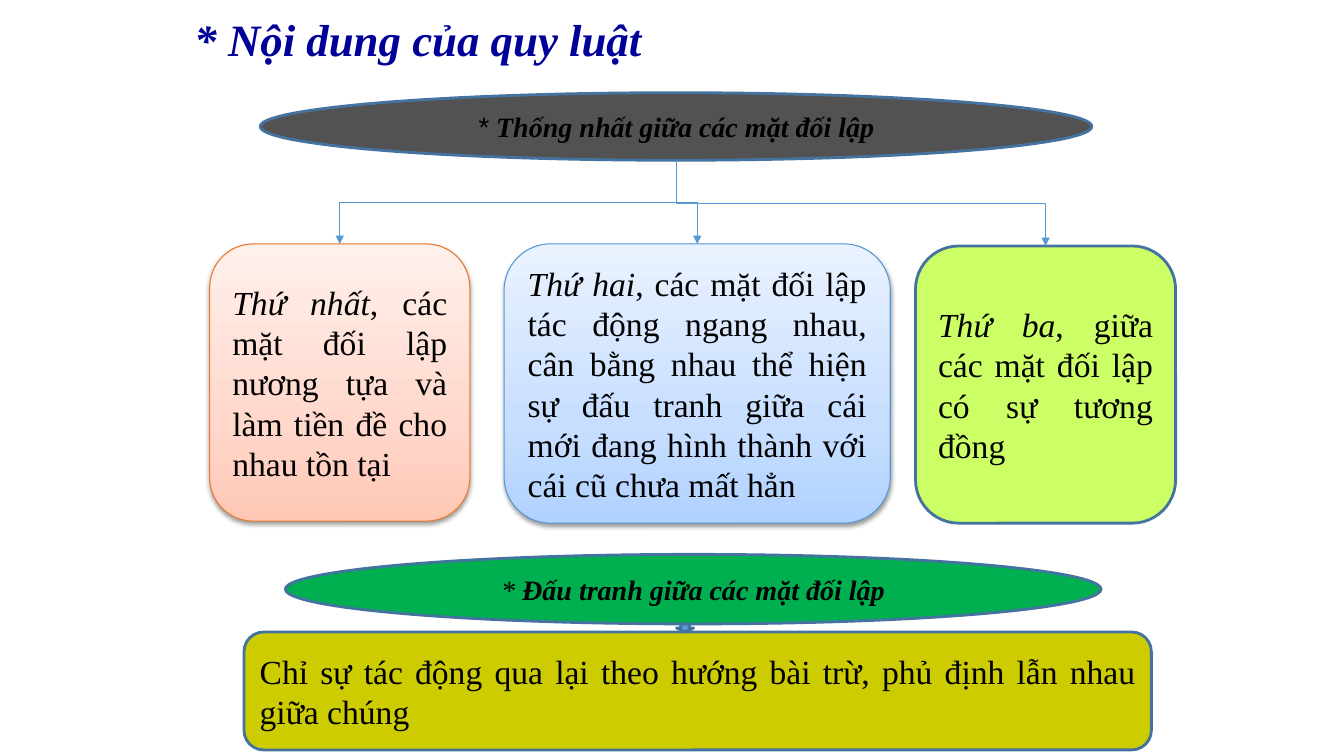
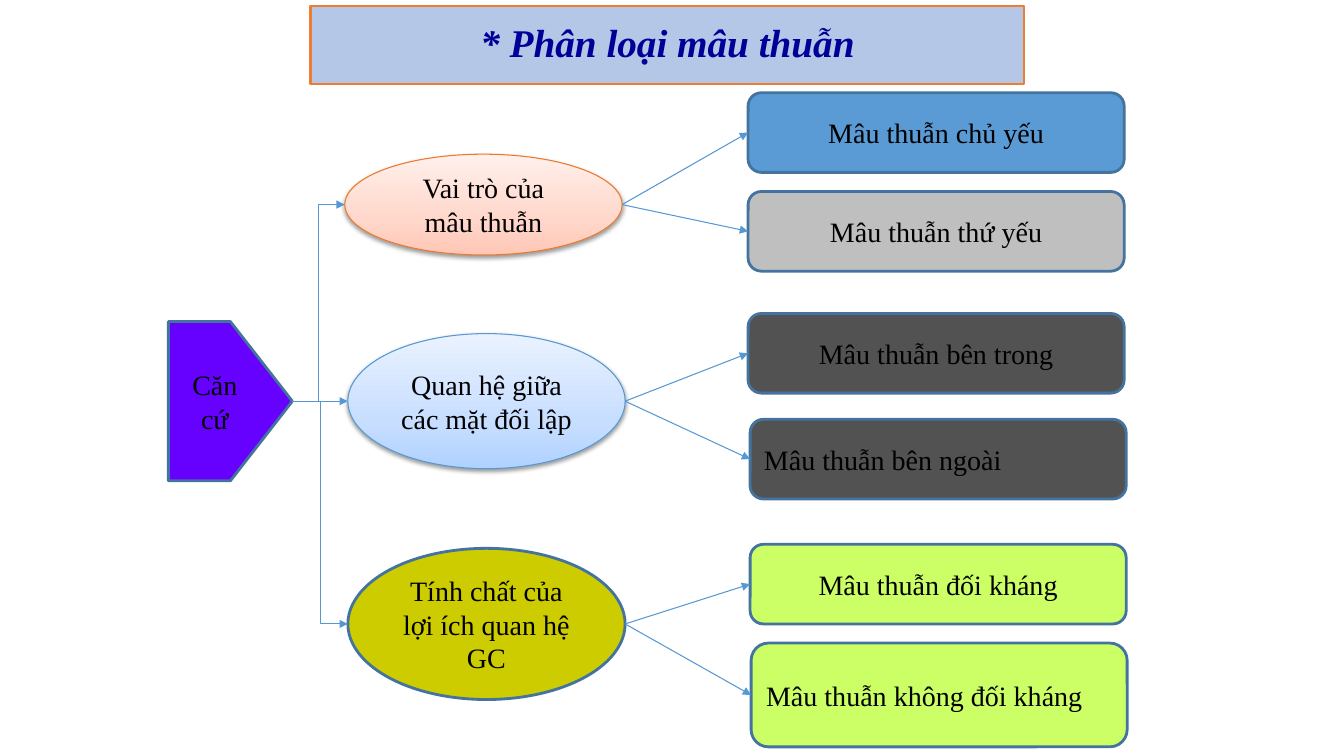
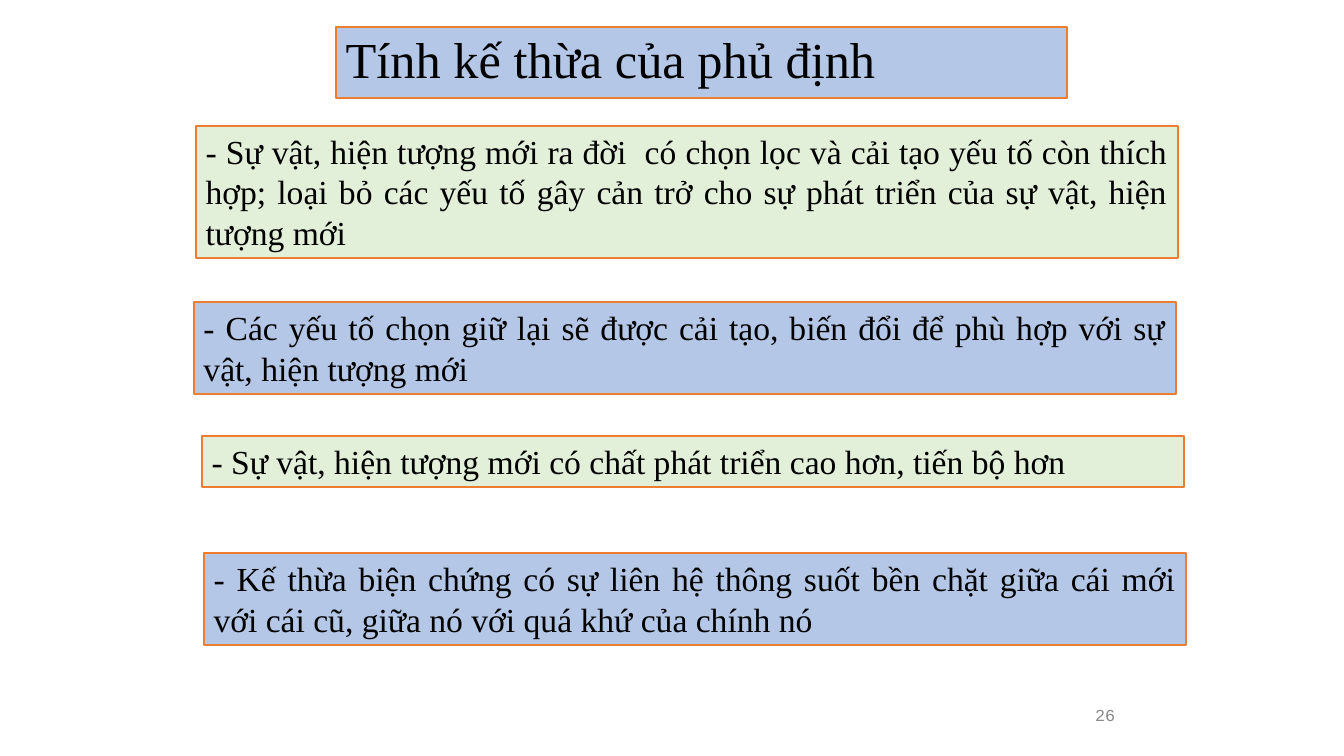
from lxml import etree
from pptx import Presentation
from pptx import util as u
from pptx.dml import color
from pptx.enum import shapes, text
from pptx.oxml import ns

# Shared look
SERIF = "Times New Roman"
BLACK, NAVY, GREY = "000000", "000099", "898989"
DARK, OLIVE, LIME, SILVER, BLUE = "525252", "CCCC00", "CCFF66", "BFBFBF", "5B9BD5"
GREEN, VIOLET = "00B050", "6600FF"
PALE_BLUE, PALE_GREEN = "B4C7E7", "E2F0D9"
OUTLINE, ORANGE, WIRE = ("43739E", 2), ("ED7D31", 1.5), ("5698D3", 0.75)
# Soft looks: gradient stops from bottom to top, then the outline
PEACH = (((0, "FFC7B6"), (35, "FFD7CB"), (100, "FFF0EB")), ("EC792B", 0.75))
SKY = (((0, "B0D2FF"), (35, "C7DEFF"), (100, "EAF2FF")), WIRE)

KIND = shapes.MSO_SHAPE
ALIGN = {"l": text.PP_ALIGN.LEFT, "c": text.PP_ALIGN.CENTER,
         "r": text.PP_ALIGN.RIGHT, "j": text.PP_ALIGN.JUSTIFY}


def rgb(value):
    return color.RGBColor.from_string(value)


def xml(parent, tag, **attrs):
    return etree.SubElement(parent, ns.qn(tag), attrs)


def set_line(s, line):
    s.line.color.rgb = rgb(line[0])
    s.line.width = u.Pt(line[1])


def write(sp, content, size, align="c", fill=BLACK, middle=True, spacing=None):
    """content is a string or a list of (text, flags, font); flags use b and i."""
    tf = sp.text_frame
    tf.word_wrap = True
    tf.vertical_anchor = text.MSO_ANCHOR.MIDDLE if middle else text.MSO_ANCHOR.TOP
    p = tf.paragraphs[0]
    p.alignment = ALIGN[align]
    if spacing:
        p.line_spacing = spacing
    parts = [(content, "", SERIF)] if isinstance(content, str) else content
    for words, flags, font in parts:
        r = p.add_run()
        r.text = words
        r.font.name, r.font.size = font, u.Pt(size)
        r.font.bold, r.font.italic = "b" in flags, "i" in flags
        r.font.color.rgb = rgb(fill)


def add_box(s, kind, at, fill, line=OUTLINE):
    sp = s.shapes.add_shape(kind, *map(u.Inches, at))
    sp.shadow.inherit = False
    if isinstance(fill, str):
        sp.fill.solid()
        sp.fill.fore_color.rgb = rgb(fill)
        set_line(sp, line)
    else:
        soften(sp, *fill)
    return sp


def soften(sp, stops, line):
    """Vertical gradient with a small shadow below."""
    sp.fill.gradient()
    sp.fill.gradient_angle = 90
    set_line(sp, line)
    props = sp._element.spPr
    stop_list = props.find(".//" + ns.qn("a:gsLst"))
    for old in list(stop_list):
        stop_list.remove(old)
    for pos, value in stops:
        xml(xml(stop_list, "a:gs", pos=str(pos * 1000)), "a:srgbClr", val=value)
    shadow = xml(props.find(ns.qn("a:effectLst")), "a:outerShdw", blurRad="40000",
                 dist="20000", dir="5400000", rotWithShape="0")
    xml(xml(shadow, "a:srgbClr", val=BLACK), "a:alpha", val="38000")


def add_text(s, at, content, size, **style):
    sp = s.shapes.add_textbox(*map(u.Inches, at))
    write(sp, content, size, **style)


def add_title(s, at, content, size, **style):
    sp = add_box(s, KIND.RECTANGLE, at, PALE_BLUE, ORANGE)
    write(sp, content, size, spacing=0.9, **style)


def add_arrow(s, kind, begin, end):
    cn = s.shapes.add_connector(kind, *map(int, begin + end))
    set_line(cn, WIRE)
    props = cn._element.spPr
    xml(props.find(ns.qn("a:ln")), "a:tailEnd", type="triangle")
    xml(props, "a:effectLst")
    return cn


def link_across(s, a, b, kind=shapes.MSO_CONNECTOR.STRAIGHT):
    """Arrow from the right side of a to the left side of b."""
    add_arrow(s, kind, (a.left + a.width, a.top + a.height / 2),
              (b.left, b.top + b.height / 2))


def link_down(s, a, b):
    """Elbow arrow from the bottom of a to the top of b, leaving downwards."""
    x1, y1 = a.left + a.width / 2, a.top + a.height
    x2, y2 = b.left + b.width / 2, b.top
    mid_x, mid_y = (x1 + x2) / 2, (y1 + y2) / 2
    # The elbow is laid on its side, then turned a quarter about its centre
    half_w, half_h = (y2 - y1) / 2, abs(x2 - x1) / 2
    side = 1 if x2 < x1 else -1
    cn = add_arrow(s, shapes.MSO_CONNECTOR.ELBOW,
                   (mid_x - side * half_w, mid_y - half_h),
                   (mid_x + side * half_w, mid_y + half_h))
    turn = 90 if side > 0 else 270
    cn._element.spPr.find(ns.qn("a:xfrm")).set("rot", str(turn * 60000))


def law_slide(s):
    add_text(s, (1.83, -0.08, 5.19, 1), [("* Nội dung của quy luật", "bi", SERIF)],
             32, align="l", fill=NAVY, spacing=0.9)
    # Unity of opposites and its three sides
    unity = add_box(s, KIND.OVAL, (2.58, 0.92, 8.25, 0.67), DARK)
    write(unity, [("* ", "i", "Arial"),
                  ("Thống nhất giữa các mặt đối lập", "bi", SERIF)], 20)
    sides = [
        ((2.08, 2.42, 2.58, 2.75), PEACH, "Thứ nhất",
         ", các mặt đối lập nương tựa và làm tiền đề cho nhau tồn tại"),
        ((5, 2.42, 3.83, 2.77), SKY, "Thứ hai",
         ", các mặt đối lập tác động ngang nhau, cân bằng nhau thể hiện "
         "sự đấu tranh giữa cái mới đang hình thành với cái cũ chưa mất hẳn"),
        ((9.08, 2.44, 2.58, 2.75), LIME, "Thứ ba",
         ", giữa các mặt đối lập có sự tương đồng"),
    ]
    for at, fill, lead, rest in sides:
        sp = add_box(s, KIND.ROUNDED_RECTANGLE, at, fill)
        write(sp, [(lead, "i", SERIF), (rest, "", SERIF)], 24, align="j")
        link_down(s, unity, sp)
    # Struggle of opposites
    struggle = add_box(s, KIND.OVAL, (2.83, 5.5, 8.09, 0.69), GREEN)
    write(struggle, [("* ", "i", SERIF),
                     ("Đấu tranh giữa các mặt đối lập", "bi", SERIF)], 20)
    meaning = add_box(s, KIND.ROUNDED_RECTANGLE, (2.42, 6.27, 9, 1.17), OLIVE)
    write(meaning, "Chỉ sự tác động qua lại theo hướng bài trừ, phủ định lẫn nhau "
                   "giữa chúng", 24, align="j")
    add_box(s, KIND.DOWN_ARROW, (6.71, 6.19, 0.17, 0.08), BLUE)


def types_slide(s):
    add_title(s, (3.08, 0.06, 7.08, 0.77), [("* Phân loại mâu thuẫn", "bi", SERIF)],
              28, fill=NAVY)
    basis = add_box(s, KIND.PENTAGON, (1.67, 3.19, 1.23, 1.58), VIOLET)
    write(basis, "Căn cứ", 20)
    # Each criterion with its two types: left, top, height, fill, label, alignment
    elbow, straight = shapes.MSO_CONNECTOR.ELBOW, shapes.MSO_CONNECTOR.STRAIGHT
    criteria = [
        ((3.42, 1.53, 2.75, 1), PEACH, "Vai trò của mâu thuẫn", elbow,
         [(7.42, 0.92, 0.79, BLUE, "Mâu thuẫn chủ yếu", "c"),
          (7.42, 1.9, 0.79, SILVER, "Mâu thuẫn thứ yếu", "c")]),
        ((3.45, 3.31, 2.75, 1.34), SKY, "Quan hệ giữa các mặt đối lập", straight,
         [(7.42, 3.11, 0.79, DARK, "Mâu thuẫn bên trong", "c"),
          (7.44, 4.16, 0.79, DARK, "Mâu thuẫn bên ngoài", "j")]),
        ((3.45, 5.44, 2.75, 1.5), OLIVE, "Tính chất của lợi ích quan hệ GC", elbow,
         [(7.44, 5.4, 0.79, LIME, "Mâu thuẫn đối kháng", "c"),
          (7.45, 6.38, 1.03, LIME, "Mâu thuẫn không đối kháng", "j")]),
    ]
    for at, fill, label, kind, types in criteria:
        criterion = add_box(s, KIND.OVAL, at, fill)
        write(criterion, label, 20)
        link_across(s, basis, criterion, kind)
        for left, top, height, shade, name, align in types:
            sp = add_box(s, KIND.ROUNDED_RECTANGLE, (left, top, 3.73, height), shade)
            write(sp, name, 20, align=align)
            link_across(s, criterion, sp)


def heritage_slide(s):
    add_text(s, (8.83, 6.83, 2.33, 0.52), [("26", "", "Courier New")], 12,
             align="r", fill=GREY)
    add_title(s, (3.33, 0.27, 7.25, 0.7), "Tính kế thừa của phủ định", 36, align="l")
    # Statements in alternating shades
    statements = [
        (1.94, 1.25, 1.31, PALE_GREEN,
         "- Sự vật, hiện tượng mới ra đời  có chọn lọc và cải tạo yếu tố còn thích "
         "hợp; loại bỏ các yếu tố gây cản trở cho sự phát triển của sự vật, hiện "
         "tượng mới"),
        (1.92, 3, 0.91, PALE_BLUE,
         "- Các yếu tố chọn giữ lại sẽ được cải tạo, biến đổi để phù hợp với sự "
         "vật, hiện tượng mới"),
        (2, 4.33, 0.5, PALE_GREEN,
         "- Sự vật, hiện tượng mới có chất phát triển cao hơn, tiến bộ hơn"),
        (2.02, 5.49, 0.91, PALE_BLUE,
         "- Kế thừa biện chứng có sự liên hệ thông suốt bền chặt giữa cái mới "
         "với cái cũ, giữa nó với quá khứ của chính nó"),
    ]
    for left, top, height, fill, words in statements:
        sp = add_box(s, KIND.RECTANGLE, (left, top, 9.74, height), fill, ORANGE)
        write(sp, words, 24, align="j", middle=False)
        sp.text_frame.auto_size = text.MSO_AUTO_SIZE.SHAPE_TO_FIT_TEXT


def main():
    prs = Presentation()
    prs.slide_width, prs.slide_height = u.Inches(13.33), u.Inches(7.5)
    for build in (law_slide, types_slide, heritage_slide):
        build(prs.slides.add_slide(prs.slide_layouts[6]))
    prs.save("out.pptx")


if __name__ == "__main__":
    main()
